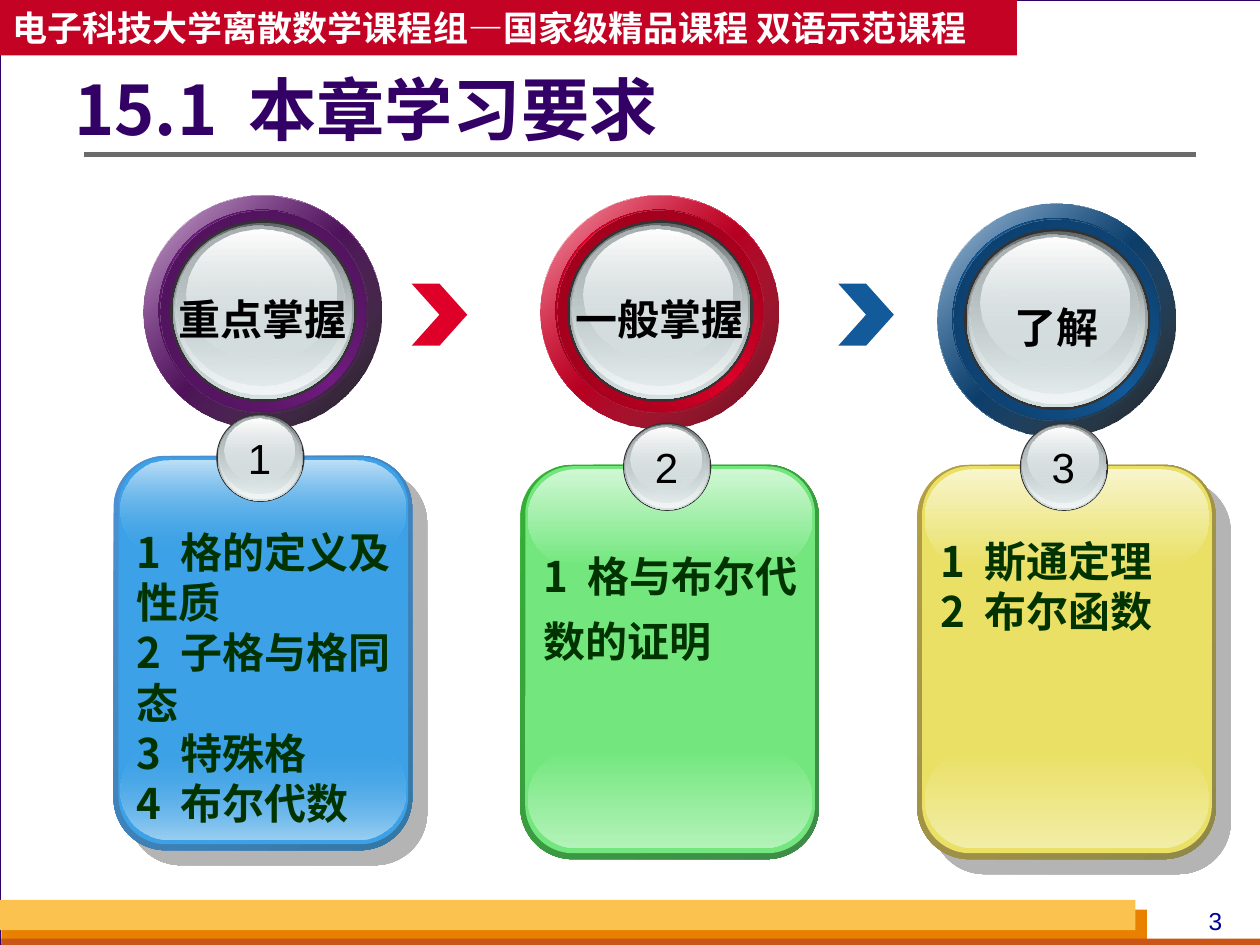
from dataclasses import dataclass

from lxml.etree import SubElement
from pptx import Presentation
from pptx.dml.color import RGBColor
from pptx.enum.shapes import MSO_CONNECTOR, MSO_SHAPE
from pptx.enum.text import MSO_ANCHOR, PP_ALIGN
from pptx.oxml import parse_xml
from pptx.oxml.ns import nsdecls, qn
from pptx.util import Cm, Pt


@dataclass(frozen=True)
class Theme:
    """Colours, fonts and type sizes of the slide."""
    page: str = "D8DADA"
    white: str = "FFFFFF"
    black: str = "000000"
    indigo: str = "330066"
    banner: str = "C30224"
    rule: str = "6B6B6B"
    number: str = "000099"
    body: str = "003300"
    rim: str = "333333"
    silver: str = "D6E1E2"
    amber: str = "FCC24F"
    orange: str = "E88000"
    rust: str = "C95616"
    latin: str = "Arial"
    cjk: str = "Noto Sans CJK SC"
    title_size: int = 39
    body_size: int = 24
    banner_size: int = 20
    number_size: int = 14


THEME = Theme()


@dataclass(frozen=True)
class Stage:
    """One learning level: its ring, its card and their colours."""
    label: str
    topics: tuple
    ring_top: float
    card_left: float
    card_top: float
    text_height: float
    line_pitch: float
    ring: str
    ring_dark: str
    ring_deep: str
    ring_shade: tuple
    card: str
    edge: tuple
    gloss: tuple
    gloss_opacity: int
    shadow: bool


STAGES = (
    Stage("重点掌握", ("1 格的定义及性质", "2 子格与格同态", "3 特殊格", "4 布尔代数"),
          3.94, 2.29, 9.19, 6.35, 28.7, "711C81", "3D0F46", "481252", ("000000", 90),
          "3CA1E6", ("4E91D4", "3477A4"), ("BEE0F7", "9BCFF2"), 0, True),
    Stage("一般掌握", ("1 格与布尔代数的证明",),
          3.94, 10.49, 9.37, 2.9, 37.3, "DF0029", "790016", "8E001A", ("670013", 100),
          "73E77E", ("34B034", "3F8B4A"), ("D0F7D4", "B3F2B9"), 100, False),
    Stage("了解", ("1 斯通定理", "2 布尔函数"),
          4.11, 18.49, 9.37, 3.6, 28.7, "135A9A", "0A3153", "0C3962", ("000000", 90),
          "E9E065", ("B59F43", "8F8849"), ("F8F5CC", "F2EDA6"), 100, True),
)


def gradient(stops, angle):
    """Return a linear gradient fill of (position, colour, opacity) stops."""
    marks = "".join(
        f'<a:gs pos="{pos * 1000}"><a:srgbClr val="{colour}">'
        f'<a:alpha val="{opacity * 1000}"/></a:srgbClr></a:gs>'
        for pos, colour, opacity in stops)
    return parse_xml(f'<a:gradFill {nsdecls("a")} rotWithShape="1"><a:gsLst>{marks}</a:gsLst>'
                     f'<a:lin ang="{angle * 60000}" scaled="0"/></a:gradFill>')


def add_form(shapes, kind, box, fill=None, stops=None, angle=90, line=None, adjust=None):
    """Draw a preset shape with a solid or gradient fill."""
    form = shapes.add_shape(kind, *map(Cm, box))
    form.shadow.inherit = False
    if stops:
        form._element.spPr.find(qn("a:prstGeom")).addnext(gradient(stops, angle))
    else:
        form.fill.solid()
        form.fill.fore_color.rgb = RGBColor.from_string(fill)
    if line:
        form.line.color.rgb = RGBColor.from_string(line)
        form.line.width = Pt(0.75)
    else:
        form.line.fill.background()
    if adjust is not None:
        form.adjustments[0] = adjust
    return form


def add_text(shapes, box, lines, size, colour, bold=False, font=THEME.cjk, align=PP_ALIGN.LEFT,
             anchor=MSO_ANCHOR.TOP, wrap=True, inset=(0.25, 0.13), spacing=None, gap=0):
    """Write paragraphs in a box; gap widens the space after a leading number."""
    frame = shapes.add_textbox(*map(Cm, box)).text_frame
    frame.word_wrap = wrap
    frame.vertical_anchor = anchor
    frame.margin_left, frame.margin_top = map(Cm, inset)
    frame.margin_right, frame.margin_bottom = Cm(0.25), 0
    for index, line in enumerate(lines):
        paragraph = frame.paragraphs[0] if index == 0 else frame.add_paragraph()
        paragraph.alignment = align
        paragraph.line_spacing = spacing
        for part in line.partition(" ") if gap else (line,):
            run = paragraph.add_run()
            run.text = part
            run.font.size, run.font.bold = Pt(size), bold
            run.font.color.rgb = RGBColor.from_string(colour)
            run.font.name = font
            properties = run._r.get_or_add_rPr()
            SubElement(properties, qn("a:ea")).set("typeface", THEME.cjk)
            if part == " ":
                properties.set("spc", str(round(gap * 100)))


def add_ball(shapes, left, top, width, height):
    """Draw a glossy silver ball filling the given box."""
    add_form(shapes, MSO_SHAPE.OVAL, (left, top, width, height), THEME.rim)
    layers = (
        (0.015, 0.015, 0.97, 0.97, ("636869", 100), (THEME.silver, 100)),
        (0.025, 0.015, 0.945, 0.945, (THEME.silver, 0), ("F1F5F5", 100)),
        (0.035, 0.03, 0.9, 0.88, ("AAB2B3", 100), (THEME.silver, 48)),
        (0.09, 0.05, 0.8, 0.715, (THEME.white, 100), (THEME.silver, 38)),
    )
    for x, y, w, h, upper, lower in layers:
        add_form(shapes, MSO_SHAPE.OVAL,
                 (left + x * width, top + y * height, w * width, h * height),
                 stops=((0, *upper), (100, *lower)))


def add_ring(slide, stage, left, top, width=4.8, height=4.7):
    """Draw a coloured ring around a ball that carries the level's label."""
    shapes = slide.shapes.add_group_shape().shapes
    outer = (left, top, width, height)
    hue = stage.ring
    bands = (
        (outer, ((0, THEME.white, 100), (50, hue, 100), (100, THEME.white, 100)), 45),
        (outer, ((0, hue, 32), (100, *stage.ring_shade)), 45),
        ((left + 0.3, top + 0.29, 4.17, 4.06),
         ((0, stage.ring_dark, 100), (50, hue, 100), (100, stage.ring_dark, 100)), 315),
        ((left + 0.33, top + 0.31, 4.17, 4.06), ((0, stage.ring_deep, 100), (100, hue, 0)), 45),
    )
    for box, stops, angle in bands:
        add_form(shapes, MSO_SHAPE.OVAL, box, stops=stops, angle=angle)
    add_ball(shapes, left + 0.53, top + 0.5, 3.76, 3.66)
    add_text(shapes, (left + 0.42, top + 1.81, width - 0.84, 1.27), [stage.label],
             THEME.body_size, THEME.black, bold=True, font=THEME.latin, align=PP_ALIGN.CENTER,
             wrap=False, inset=(0.25, 0.17), spacing=Pt(28.7))


def add_card(slide, stage, number, left, top, width=6.02, height=7.95):
    """Draw a glossy card with its number badge and topics."""
    shapes = slide.shapes.add_group_shape().shapes
    rounded = MSO_SHAPE.ROUNDED_RECTANGLE
    start, end = stage.edge
    edge = add_form(shapes, rounded, (left, top, width, height),
                    stops=((0, start, 100), (100, end, 100)), angle=45, adjust=0.175)
    if stage.shadow:
        effects = edge._element.spPr.find(qn("a:effectLst"))
        effects.append(parse_xml(
            f'<a:outerShdw {nsdecls("a")} dist="{Pt(12.1)}" dir="2700000" algn="ctr" '
            f'rotWithShape="0"><a:srgbClr val="{THEME.rule}"><a:alpha val="50000"/>'
            '</a:srgbClr></a:outerShdw>'))
    add_form(shapes, rounded, (left + 0.1, top + 0.03, 5.84, 7.8), stage.card, adjust=0.165)
    light, pale = stage.gloss
    base = (stage.card, stage.gloss_opacity)
    add_form(shapes, rounded, (left + 0.15, top + 5.75, 5.74, 1.98),
             stops=((0, *base), (100, pale, 100)), adjust=0.5)
    add_form(shapes, rounded, (left + 0.15, top + 0.09, 5.74, 1.96),
             stops=((0, light, 100), (100, *base)), adjust=0.5)
    add_ball(shapes, left + 2.07, top - 0.85, 1.78, 1.78)
    add_text(shapes, (left + 2.46, top - 0.6, 0.97, 1.27), [str(number)], THEME.body_size,
             THEME.black, font=THEME.latin, align=PP_ALIGN.CENTER, wrap=False)
    add_text(shapes, (left + 0.22, top + 1.26, 5.72, stage.text_height), stage.topics,
             THEME.body_size, THEME.body, bold=True, inset=(0.25, 0.17),
             spacing=Pt(stage.line_pitch), gap=5.4)


def add_frame(slide, width, height):
    """Draw the page, the footer bars, the banner and the title with its rule."""
    shapes = slide.shapes
    slide.background.fill.solid()
    slide.background.fill.fore_color.rgb = RGBColor.from_string(THEME.page)
    rectangle = MSO_SHAPE.RECTANGLE
    add_form(shapes, rectangle, (0, 0, width + 0.03, height), THEME.white, line=THEME.indigo)
    add_form(shapes, rectangle, (0.03, height - 0.71, 23.09, 0.71), THEME.orange)
    add_form(shapes, rectangle, (0.03, height - 0.13, width, 0.2), THEME.rust)
    add_form(shapes, rectangle, (0, height - 0.91, 22.89, 0.61), THEME.amber)
    add_text(shapes, (23.7, height - 0.91, 1.6, 0.86), ["3"], THEME.number_size, THEME.number,
             font=THEME.latin, align=PP_ALIGN.CENTER)
    rule = shapes.add_connector(MSO_CONNECTOR.STRAIGHT, Cm(1.7), Cm(3.12), Cm(24.1), Cm(3.12))
    rule.line.color.rgb = RGBColor.from_string(THEME.rule)
    rule.line.width = Pt(3)
    SubElement(rule._element.spPr, qn("a:effectLst"))
    banner = (0, 0, 20.5, 1.12)
    add_form(shapes, rectangle, banner, THEME.banner)
    add_text(shapes, banner, ["电子科技大学离散数学课程组—国家级精品课程 双语示范课程"],
             THEME.banner_size, THEME.white, bold=True, anchor=MSO_ANCHOR.MIDDLE, inset=(0.25, 0))
    add_text(shapes, (1.5, 1.42, 19.76, 1.75), ["15.1 本章学习要求"], THEME.title_size,
             THEME.indigo, bold=True, anchor=MSO_ANCHOR.MIDDLE, inset=(0, 0), spacing=0.9, gap=8.8)


def main():
    """Build the slide and save it."""
    deck = Presentation()
    deck.slide_width, deck.slide_height = Cm(25.4), Cm(19.05)
    slide = deck.slides.add_slide(deck.slide_layouts[6])
    add_frame(slide, 25.4, 19.05)
    for left, hue in ((8.3, STAGES[1].ring), (16.9, STAGES[2].ring)):
        add_form(slide.shapes, MSO_SHAPE.CHEVRON, (left, 5.72, 1.12, 1.25), hue, adjust=0.5)
    for index, stage in enumerate(STAGES):
        add_ring(slide, stage, 2.9 + 8 * index, stage.ring_top)
    for number, stage in enumerate(STAGES, 1):
        add_card(slide, stage, number, stage.card_left, stage.card_top)
    deck.save("out.pptx")


if __name__ == "__main__":
    main()
